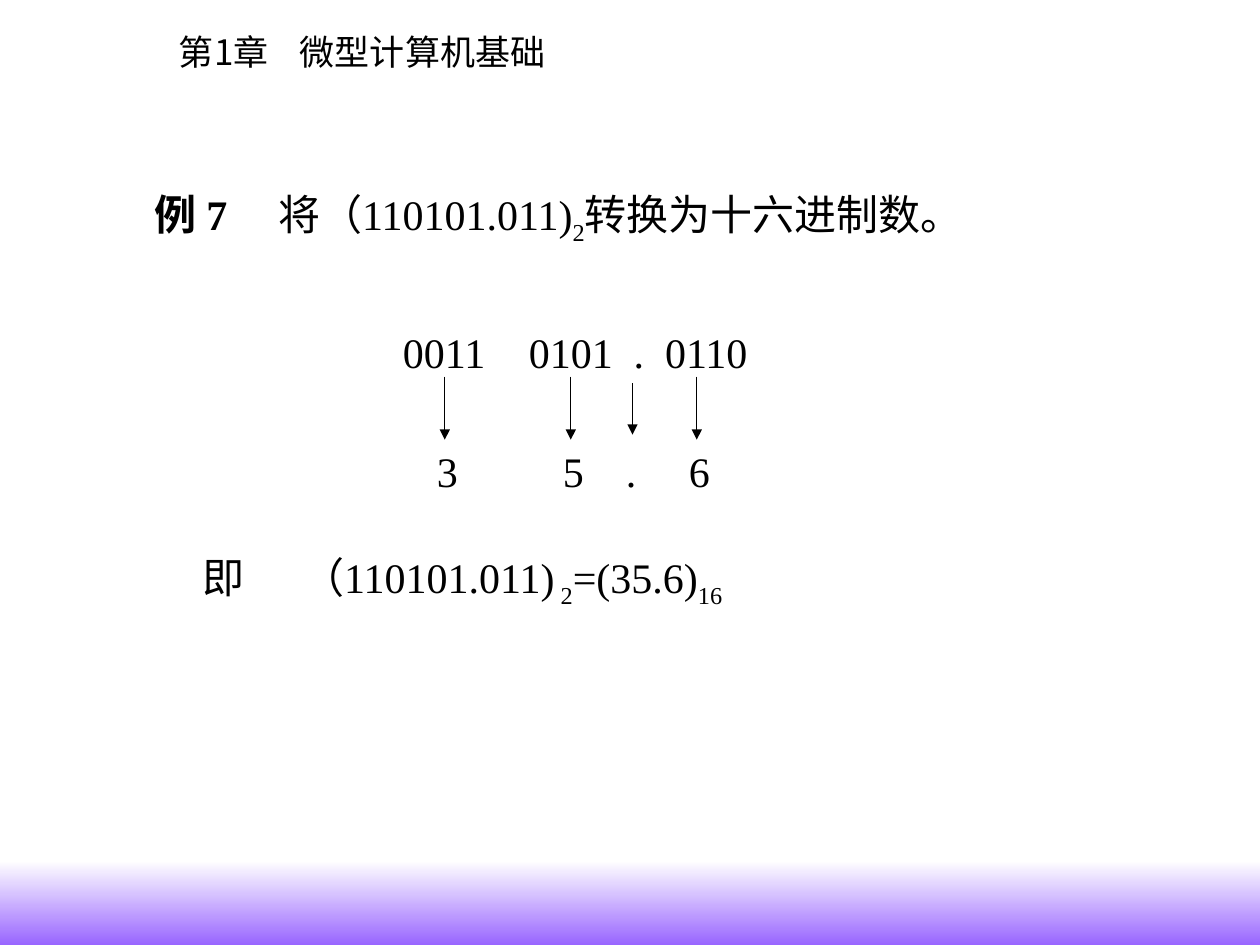
from pptx import Presentation
from pptx.dml.color import RGBColor
from pptx.enum.shapes import MSO_CONNECTOR, MSO_SHAPE
from pptx.enum.text import MSO_ANCHOR, MSO_AUTO_SIZE, PP_ALIGN
from pptx.oxml.ns import qn
from pptx.util import Inches, Pt
from lxml import etree

RECTANGLE = MSO_SHAPE.RECTANGLE
STRAIGHT = MSO_CONNECTOR.STRAIGHT
TOP = MSO_ANCHOR.TOP
LEFT = PP_ALIGN.LEFT
NO_AUTOSIZE = MSO_AUTO_SIZE.NONE

COLORS = {"text": "000000", "band_top": "FFFFFF", "band_bottom": "9966FF"}
SERIF = "Times New Roman"
CHINESE = "Noto Sans CJK SC"
TITLE_LAYOUT = 5
SUBSCRIPT = -25000


def rgb(name):
    return RGBColor.from_string(COLORS[name])


def write_line(shape, box, runs, tabs, size=24, name=SERIF):
    """Fill a shape with one line; each run is (text, format values)."""
    shape.left, shape.top, shape.width, shape.height = map(Inches, box)
    frame = shape.text_frame
    frame_format = {"word_wrap": True, "auto_size": NO_AUTOSIZE,
                    "vertical_anchor": TOP,
                    "margin_left": Inches(0.1), "margin_right": Inches(0.1),
                    "margin_top": Inches(0.05), "margin_bottom": Inches(0.05)}
    for key, value in frame_format.items():
        setattr(frame, key, value)

    paragraph = frame.paragraphs[0]
    paragraph.alignment = LEFT
    paragraph.line_spacing = 1.0
    paragraph.space_before = Pt(0)
    tab_list = etree.SubElement(paragraph._p.get_or_add_pPr(), qn("a:tabLst"))
    for position in tabs:
        etree.SubElement(tab_list, qn("a:tab"), pos=str(Inches(position)), algn="l")

    for text, values in runs:
        run = paragraph.add_run()
        run.text = text
        font_format = {"name": name, "size": Pt(size), "bold": values.get("bold", False)}
        for key, value in font_format.items():
            setattr(run.font, key, value)
        run.font.color.rgb = rgb("text")
        properties = run._r.get_or_add_rPr()
        etree.SubElement(properties, qn("a:ea"), typeface=CHINESE)
        # The schema wants the East Asian font right after the Latin one
        properties.find(qn("a:latin")).addnext(properties.find(qn("a:ea")))
        if values.get("subscript"):
            properties.set("baseline", str(SUBSCRIPT))


def add_line(slide, box, runs, tabs):
    write_line(slide.shapes.add_textbox(0, 0, 0, 0), box, runs, tabs)


def add_footer_band(slide, box):
    band = slide.shapes.add_shape(RECTANGLE, *map(Inches, box))
    band.shadow.inherit = False
    band.line.fill.background()
    band.fill.gradient()
    band.fill.gradient_angle = 270
    for stop, position, color in zip(band.fill.gradient_stops, (0, 1),
                                     ("band_top", "band_bottom")):
        stop.position = position
        stop.color.rgb = rgb(color)


def add_arrow(slide, x, top, bottom):
    arrow = slide.shapes.add_connector(STRAIGHT, Inches(x), Inches(top),
                                       Inches(x), Inches(bottom))
    arrow.line.color.rgb = rgb("text")
    arrow.line.width = Pt(0.75)
    etree.SubElement(arrow.line._get_or_add_ln(), qn("a:tailEnd"), type="triangle")
    etree.SubElement(arrow._element.spPr, qn("a:effectLst"))


def add_conversion(slide, box):
    """Binary groups above, hexadecimal digits below, arrows between."""
    left, top, width, height = box
    row_height = 0.5
    digits_top = top + height - row_height
    add_line(slide, (left, top, width, row_height),
             [("0011\t0101\t.\t0110", {})], (1, 1.83, 2.08))
    add_line(slide, (left + 0.27, digits_top, width - 0.16, row_height),
             [("3\t5\t.\t6", {})], (1, 1.5, 2))

    arrows_top = top + row_height - 0.05
    for column in range(3):
        add_arrow(slide, left + 0.43 + column, arrows_top, digits_top)
    # Shorter arrow for the radix point
    add_arrow(slide, left + 1.92, arrows_top + 0.05, digits_top - 0.04)


def main():
    presentation = Presentation()
    presentation.slide_width = Inches(10)
    presentation.slide_height = Inches(7.5)
    slide = presentation.slides.add_slide(presentation.slide_layouts[TITLE_LAYOUT])

    # Chapter heading and footer
    write_line(slide.shapes.title, (1.32, 0.19, 3.18, 0.44),
               [("第1章\t微型计算机基础", {})], (0.96,), size=20, name=CHINESE)
    add_footer_band(slide, (0, 6.83, 10, 0.67))

    # Exercise
    add_line(slide, (1.13, 1.45, 6.88, 0.56),
             [("例 7\t", {"bold": True}), ("将（110101.011)", {}),
              ("2", {"subscript": True}), ("转换为十六进制数。", {})], (0.98,))

    # Worked conversion
    add_conversion(slide, (3.1, 2.54, 3.36, 1.45))

    # Result
    add_line(slide, (1.51, 4.33, 4.5, 0.56),
             [("即\t（110101.011)", {}), (" 2", {"subscript": True}),
              ("=(35.6)", {}), ("16", {"subscript": True})], (0.79,))

    presentation.save("out.pptx")


if __name__ == "__main__":
    main()
